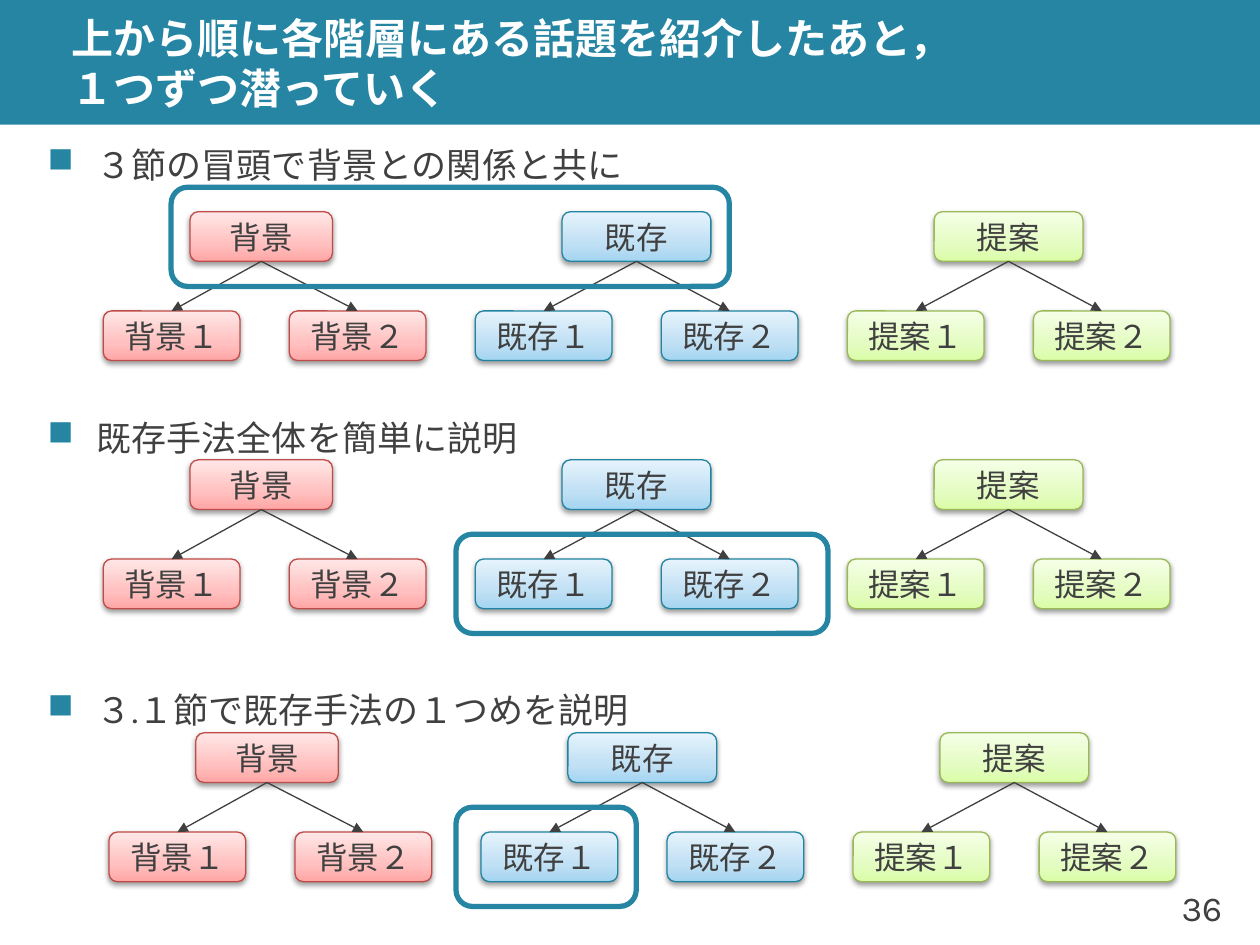
from copy import deepcopy
from typing import NamedTuple

from lxml import etree
from pptx import Presentation
from pptx import util as u
from pptx.dml.color import RGBColor
from pptx.enum import shapes, text
from pptx.oxml import ns

COLORS = {"teal": "2585A3", "ink": "404040", "white": "FFFFFF", "black": "000000"}
LATIN, JAPANESE = "Karla", "Noto Sans CJK JP"
TREE_PITCH, LEAF_PITCH = 212.6, 106.3
LEAF_WIDTH, NODE_HEIGHT = 78.1, 28.35
ROOT_INDENT, LEAF_DROP = 49.6, 56.7


class Box(NamedTuple):
    left: float
    top: float
    width: float
    height: float


class Topic(NamedTuple):
    name: str
    root_width: float
    outline: str
    stops: tuple[str, str, str]


class Step(NamedTuple):
    heading: str
    heading_top: float
    left: float
    top: float
    focus: Box


TOPICS = [
    Topic("背景", 81.4, "BF4C48", ("FFA6A5", "FFC0BF", "FFE7E7")),
    Topic("既存", 85, "2184A2", ("A4D5F1", "C0E0F4", "E6F3FC")),
    Topic("提案", 85, "98B955", ("DAFDA7", "E4FCC2", "F5FFE7")),
]
STEPS = [
    Step("３節の冒頭で背景との関係と共に", 71.3, 59, 121, Box(97.8, 107, 319, 56.7)),
    Step("既存手法全体を簡単に説明", 227.3, 59, 262.8, Box(260.6, 305.3, 212.6, 56.7)),
    Step("３.１節で既存手法の１つめを説明", 383.2, 62.3, 418.8, Box(260.6, 461.3, 103, 56.7)),
]


def rgb(value: str) -> RGBColor:
    return RGBColor.from_string(value)


def points(box: Box) -> list[u.Pt]:
    return [u.Pt(length) for length in box]


def add_xml(parent, tag: str, **attributes: str):
    return etree.SubElement(parent, ns.qn(f"a:{tag}"), attributes)


def set_font(paragraph, size: float, color: str, latin: str = LATIN, bold: bool = False) -> None:
    font = paragraph.font
    font.size, font.bold, font.name = u.Pt(size), bold, latin
    font.color.rgb = rgb(color)
    for run in paragraph.runs:
        add_xml(run._r.get_or_add_rPr(), "ea", typeface=JAPANESE)


def add_text(slide, box: Box, words: str, size: float, color: str, bold: bool = False):
    label = slide.shapes.add_textbox(*points(box))
    frame = label.text_frame
    frame.word_wrap = True
    frame.vertical_anchor = text.MSO_ANCHOR.MIDDLE
    paragraph = frame.paragraphs[0]
    paragraph.text = words
    set_font(paragraph, size, color, bold=bold)
    return frame


def add_outline(slide, box: Box, color: str, weight: float):
    outline = slide.shapes.add_shape(shapes.MSO_SHAPE.ROUNDED_RECTANGLE, *points(box))
    outline.shadow.inherit = False
    outline.fill.background()
    outline.line.color.rgb = rgb(color)
    outline.line.width = u.Pt(weight)
    return outline


def add_node(slide, box: Box, words: str, topic: Topic) -> None:
    node = add_outline(slide, box, topic.outline, 0.75)
    node.fill.gradient()
    node.fill.gradient_angle = 90
    properties = node._element.spPr
    stop_list = properties.find(".//" + ns.qn("a:gsLst"))
    stop_list.append(deepcopy(stop_list[0]))
    for stop, position, color in zip(node.fill.gradient_stops, (0, 0.35, 1), topic.stops):
        stop.position = position
        stop.color.rgb = rgb(color)
    shadow = add_xml(
        properties.find(ns.qn("a:effectLst")), "outerShdw",
        blurRad=str(u.Pt(3.1)), dist=str(u.Pt(1.6)), dir="5400000", rotWithShape="0",
    )
    add_xml(add_xml(shadow, "srgbClr", val=COLORS["black"]), "alpha", val="38000")
    frame = node.text_frame
    frame.word_wrap = False
    frame.vertical_anchor = text.MSO_ANCHOR.MIDDLE
    paragraph = frame.paragraphs[0]
    paragraph.text = words
    paragraph.alignment = text.PP_ALIGN.CENTER
    set_font(paragraph, 18, COLORS["ink"], JAPANESE)


def add_arrow(slide, root: Box, leaf: Box) -> None:
    arrow = slide.shapes.add_connector(
        shapes.MSO_CONNECTOR.STRAIGHT,
        u.Pt(root.left + root.width / 2), u.Pt(root.top + root.height),
        u.Pt(leaf.left + leaf.width / 2), u.Pt(leaf.top),
    )
    arrow.line.color.rgb = rgb(COLORS["ink"])
    arrow.line.width = u.Pt(0.75)
    add_xml(arrow.line._get_or_add_ln(), "tailEnd", type="triangle")
    add_xml(arrow._element.spPr, "effectLst")


def add_tree(slide, topic: Topic, left: float, top: float) -> None:
    root = Box(left + ROOT_INDENT, top, topic.root_width, NODE_HEIGHT)
    add_node(slide, root, topic.name, topic)
    for index, digit in enumerate("１２"):
        leaf = Box(left + index * LEAF_PITCH, top + LEAF_DROP, LEAF_WIDTH, NODE_HEIGHT)
        add_node(slide, leaf, topic.name + digit, topic)
        add_arrow(slide, root, leaf)


def add_heading(slide, step: Step) -> None:
    frame = add_text(slide, Box(20.2, step.heading_top, 652.3, 42.5), step.heading, 20, COLORS["ink"])
    paragraph = frame.paragraphs[0]
    paragraph.line_spacing = 1.1
    paragraph.space_before, paragraph.space_after = u.Pt(24), u.Pt(6)
    properties = paragraph._p.get_or_add_pPr()
    properties.set("marL", str(u.Pt(28)))
    properties.set("indent", str(u.Pt(-28)))
    bullet_color = etree.Element(ns.qn("a:buClr"))
    add_xml(bullet_color, "srgbClr", val=COLORS["teal"])
    bullet = etree.Element(ns.qn("a:buChar"), char="■")
    defaults = properties.find(ns.qn("a:defRPr"))
    defaults.addprevious(bullet_color)
    defaults.addprevious(bullet)


def add_title(slide) -> None:
    band = slide.shapes.add_shape(shapes.MSO_SHAPE.RECTANGLE, *points(Box(0, 0, 720, 71.3)))
    band.shadow.inherit = False
    band.fill.solid()
    band.fill.fore_color.rgb = rgb(COLORS["teal"])
    band.line.fill.background()
    words = "上から順に各階層にある話題を紹介したあと，\v１つずつ潜っていく"
    frame = add_text(slide, Box(33.8, 0, 686.2, 71.3), words, 24, COLORS["white"], bold=True)
    frame.margin_top = frame.margin_bottom = 0


def main() -> None:
    deck = Presentation()
    deck.slide_width, deck.slide_height = u.Pt(720), u.Pt(540)
    slide = deck.slides.add_slide(deck.slide_layouts[6])
    add_title(slide)
    number = add_text(slide, Box(657.4, 496.8, 48.2, 43.2), "36", 20, COLORS["ink"])
    number.word_wrap = False
    number.paragraphs[0].alignment = text.PP_ALIGN.RIGHT
    for step in STEPS:
        for index, topic in enumerate(TOPICS):
            add_tree(slide, topic, step.left + index * TREE_PITCH, step.top)
        add_outline(slide, step.focus, COLORS["teal"], 3)
        add_heading(slide, step)
    deck.save("out.pptx")


if __name__ == "__main__":
    main()
